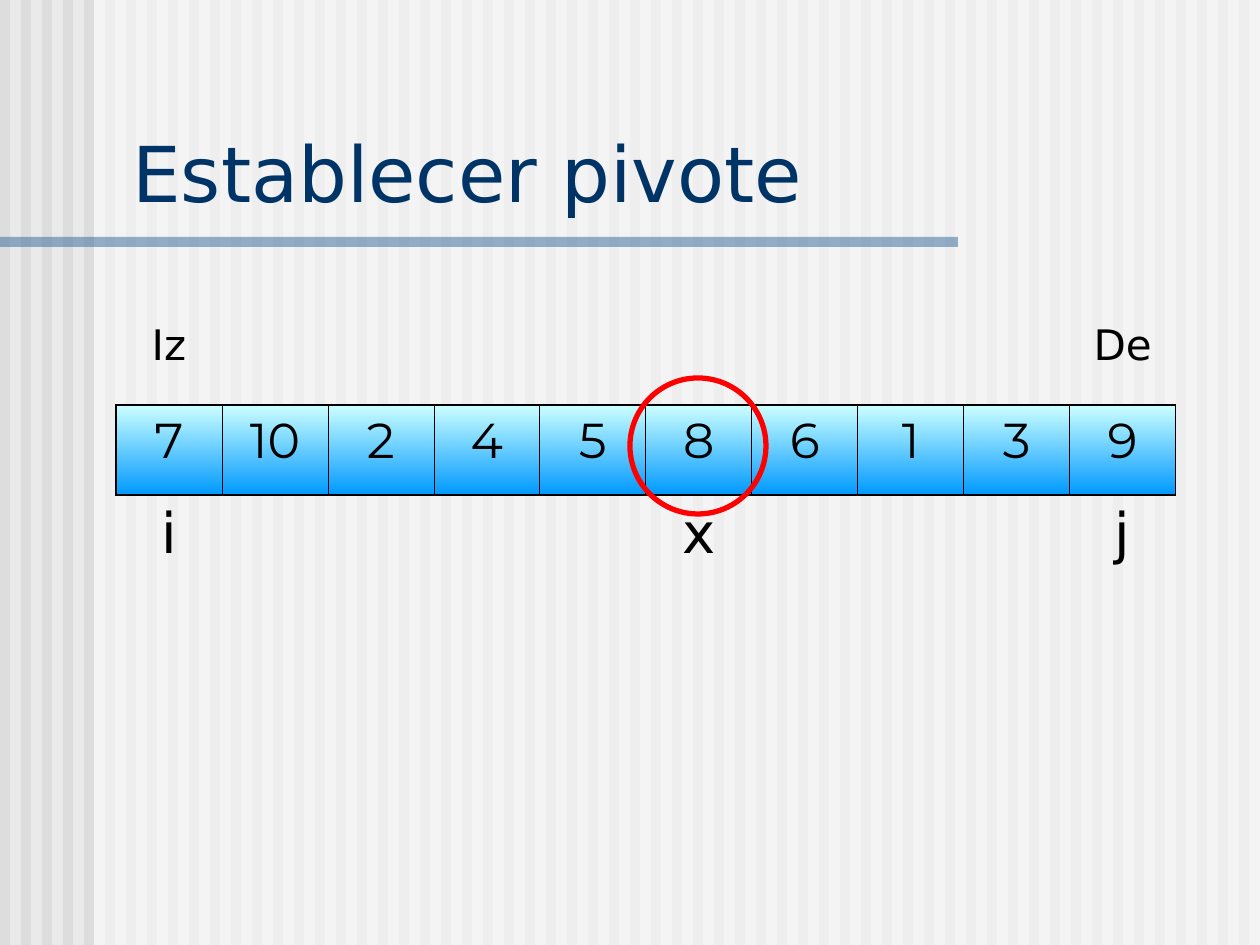
from pptx import Presentation
from pptx.dml.color import RGBColor as RGB
from pptx.enum.shapes import MSO_SHAPE as SHAPE
from pptx.enum.text import MSO_ANCHOR as ANCHOR, PP_ALIGN as ALIGN
from pptx.oxml.ns import qn
from pptx.util import Pt
from lxml import etree

PX = 914400 / 126
W, H = 1260, 945
BACK = RGB(0xEA, 0xEA, 0xEA)
GRAY = RGB(0xDD, 0xDD, 0xDD)
WHITE = RGB(0xFF, 0xFF, 0xFF)
BLUE = RGB(0x33, 0x66, 0x99)
NAVY = RGB(0x00, 0x33, 0x66)
BLACK = RGB(0x00, 0x00, 0x00)
RED = RGB(0xFF, 0x00, 0x00)
PALE = RGB(0xCC, 0xFF, 0xFF)
SKY = RGB(0x00, 0x99, 0xFF)
SANS, MONT = "DejaVu Sans", "Montserrat"
PLAIN = "{2D5ABB26-0587-4C30-8999-92F81FD0307C}"  # table style without grid


def bar(x, y, w, h, color, alpha=100):
    box = slide.shapes.add_shape(SHAPE.RECTANGLE, *[round(v * PX) for v in (x, y, w, h)])
    box.shadow.inherit = False
    box.fill.solid()
    box.fill.fore_color.rgb = color
    box.line.fill.background()
    if alpha < 100:
        tint = box.fill._xPr.find(qn("a:solidFill"))[0]
        etree.SubElement(tint, qn("a:alpha")).set("val", str(alpha * 1000))


def write(frame, text, size, font, color):
    run = frame.paragraphs[0].add_run()
    run.text = text
    run.font.size = Pt(size)
    run.font.name = font
    run.font.color.rgb = color


deck = Presentation()
deck.slide_width, deck.slide_height = round(W * PX), round(H * PX)
slide = deck.slides.add_slide(deck.slide_layouts[6])
slide.background.fill.solid()
slide.background.fill.fore_color.rgb = BACK

# Striped backdrop, veil and title rule
for x in range(0, W, 21):
    bar(x, 0, 10, H, GRAY)
bar(94, 0, W - 94, H, WHITE, 50)
bar(0, 237, 958, 10, BLUE, 50)

# Array table: bounds above, values, indices below
rows = [
    (["Iz"] + [""] * 8 + ["De"], 24, SANS),
    (["7", "10", "2", "4", "5", "8", "6", "1", "3", "9"], 28, MONT),
    (["i", "", "", "", "", "x", "", "", "", "j"], 32, SANS),
]
COLS, CW, RH = 10, 106, 90
table = slide.shapes.add_table(
    len(rows), COLS, *[round(v * PX) for v in (116, 315, COLS * CW, len(rows) * RH)]).table
table.first_row = table.horz_banding = False
table._tbl.tblPr[0].text = PLAIN
for col in table.columns:
    col.width = round(CW * PX)
for r, (words, size, font) in enumerate(rows):
    table.rows[r].height = round(RH * PX)
    for c, word in enumerate(words):
        cell = table.cell(r, c)
        cell.fill.background()
        if word:
            cell.text_frame.paragraphs[0].alignment = ALIGN.CENTER
            write(cell.text_frame, word, size, font, BLACK)
        if r != 1:
            continue
        cell.fill.gradient()
        cell.fill.gradient_angle = 270
        for stop, color in zip(cell.fill.gradient_stops, (PALE, SKY)):
            stop.color.rgb = color
        # Thick outer edge, thin lines between values
        edges = {"lnL": 1.08 if c == 0 else 0.45,
                 "lnR": 1.08 if c == COLS - 1 else 0.45,
                 "lnT": 1.08, "lnB": 1.08}
        props = cell._tc.get_or_add_tcPr()
        for i, (tag, width) in enumerate(edges.items()):
            edge = etree.Element(qn("a:" + tag), w=str(Pt(width)))
            fill = etree.SubElement(edge, qn("a:solidFill"))
            etree.SubElement(fill, qn("a:srgbClr"), val=str(BLACK))
            props.insert(i, edge)

# Ring around the pivot
ring = slide.shapes.add_shape(SHAPE.OVAL, *[round(v * PX) for v in (630, 378, 136, 136)])
ring.shadow.inherit = False
ring.fill.background()
ring.line.color.rgb = RED
ring.line.width = Pt(3)

# Title
title = slide.shapes.add_textbox(*[round(v * PX) for v in (120, 118, 1125, 106)]).text_frame
title.word_wrap = True
title.vertical_anchor = ANCHOR.BOTTOM
write(title, "Establecer pivote", 44, SANS, NAVY)

deck.save("out.pptx")
